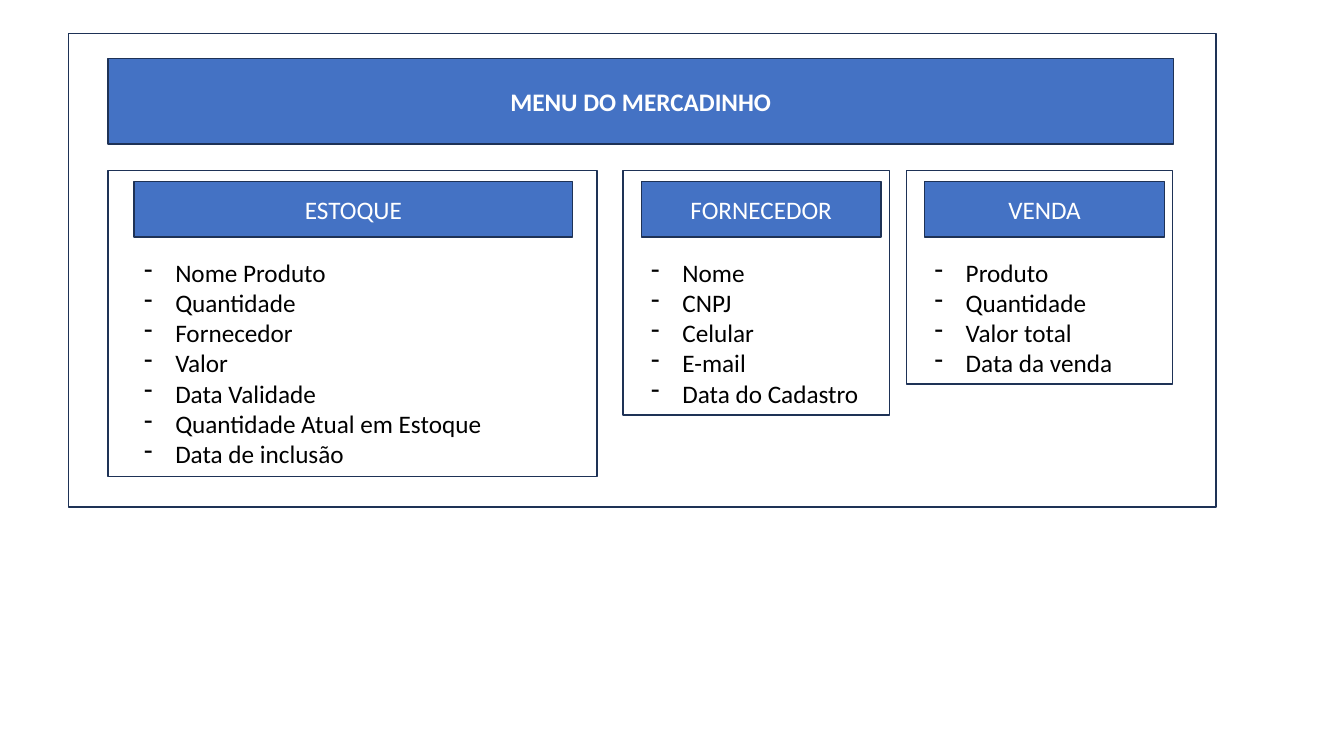
from lxml import etree
from pptx import Presentation
from pptx.dml.color import RGBColor
from pptx.enum.shapes import MSO_SHAPE
from pptx.enum.text import MSO_ANCHOR, MSO_AUTO_SIZE, PP_ALIGN
from pptx.oxml.ns import qn
from pptx.util import Inches, Pt

RECT = MSO_SHAPE.RECTANGLE
MIDDLE = MSO_ANCHOR.MIDDLE
GROW = MSO_AUTO_SIZE.SHAPE_TO_FIT_TEXT
CENTER = PP_ALIGN.CENTER

COLORS = {"blue": "4472C4", "navy": "1E3256", "white": "FFFFFF", "black": "000000"}
FONT = "Calibri"
LINE_HEIGHT = Pt(22)
INDENT = Inches(0.31)
PANEL_TOP = Inches(1.69)
HEADER_TOP = Inches(1.8)
LIST_TOP = Inches(2.5)

# panel left, panel width, header left, header width, title, items
PANELS = [
    (1.07, 4.85, 1.33, 4.35, "ESTOQUE",
     ["Nome Produto", "Quantidade", "Fornecedor", "Valor", "Data Validade",
      "Quantidade Atual em Estoque", "Data de inclusão"]),
    (6.18, 2.64, 6.36, 2.38, "FORNECEDOR",
     ["Nome", "CNPJ", "Celular", "E-mail", "Data do Cadastro"]),
    (8.99, 2.64, 9.17, 2.38, "VENDA",
     ["Produto", "Quantidade", "Valor total", "Data da venda"]),
]


def color(name):
    return RGBColor.from_string(COLORS[name])


def add_run(p, text, color_name, bold=False):
    r = p.add_run()
    r.text = text
    r.font.name = FONT
    r.font.size = Pt(18)
    r.font.bold = bold
    r.font.color.rgb = color(color_name)


def add_box(s, left, top, width, height, fill=None):
    sp = s.shapes.add_shape(RECT, left, top, width, height)
    sp.shadow.inherit = False
    if fill:
        sp.fill.solid()
        sp.fill.fore_color.rgb = color(fill)
    else:
        sp.fill.background()
    sp.line.color.rgb = color("navy")
    sp.line.width = Pt(1)
    return sp


def add_header(s, left, top, width, height, text, bold=False):
    tf = add_box(s, left, top, width, height, "blue").text_frame
    tf.vertical_anchor = MIDDLE
    p = tf.paragraphs[0]
    p.alignment = CENTER
    add_run(p, text, "white", bold)


def add_dash(p):
    """Give the paragraph a hanging indent with a dash bullet."""
    pPr = p._p.get_or_add_pPr()
    pPr.set("marL", str(INDENT))
    pPr.set("indent", str(-INDENT))
    etree.SubElement(pPr, qn("a:buFontTx"))
    etree.SubElement(pPr, qn("a:buChar")).set("char", "-")


def add_list(s, left, top, width, items):
    height = LINE_HEIGHT * len(items) + Inches(0.09)
    tf = s.shapes.add_textbox(left, top, width, height).text_frame
    tf.word_wrap = True
    tf.auto_size = GROW
    for i, item in enumerate(items):
        p = tf.add_paragraph() if i else tf.paragraphs[0]
        add_dash(p)
        add_run(p, item, "black")


def add_panel(s, left, width, header_left, header_width, title, items):
    height = LINE_HEIGHT * len(items) + Inches(0.9)
    add_box(s, Inches(left), PANEL_TOP, Inches(width), height, "white")
    inner_left, inner_width = Inches(header_left), Inches(header_width)
    add_header(s, inner_left, HEADER_TOP, inner_width, Inches(0.55), title)
    add_list(s, inner_left, LIST_TOP, inner_width, items)


def main():
    prs = Presentation()
    prs.slide_width, prs.slide_height = Inches(13.33), Inches(7.5)
    s = prs.slides.add_slide(prs.slide_layouts[6])
    add_box(s, Inches(0.68), Inches(0.33), Inches(11.38), Inches(4.7))
    add_header(s, Inches(1.07), Inches(0.58), Inches(10.57), Inches(0.85),
               "MENU DO MERCADINHO", bold=True)
    for panel in PANELS:
        add_panel(s, *panel)
    prs.save("out.pptx")


if __name__ == "__main__":
    main()
